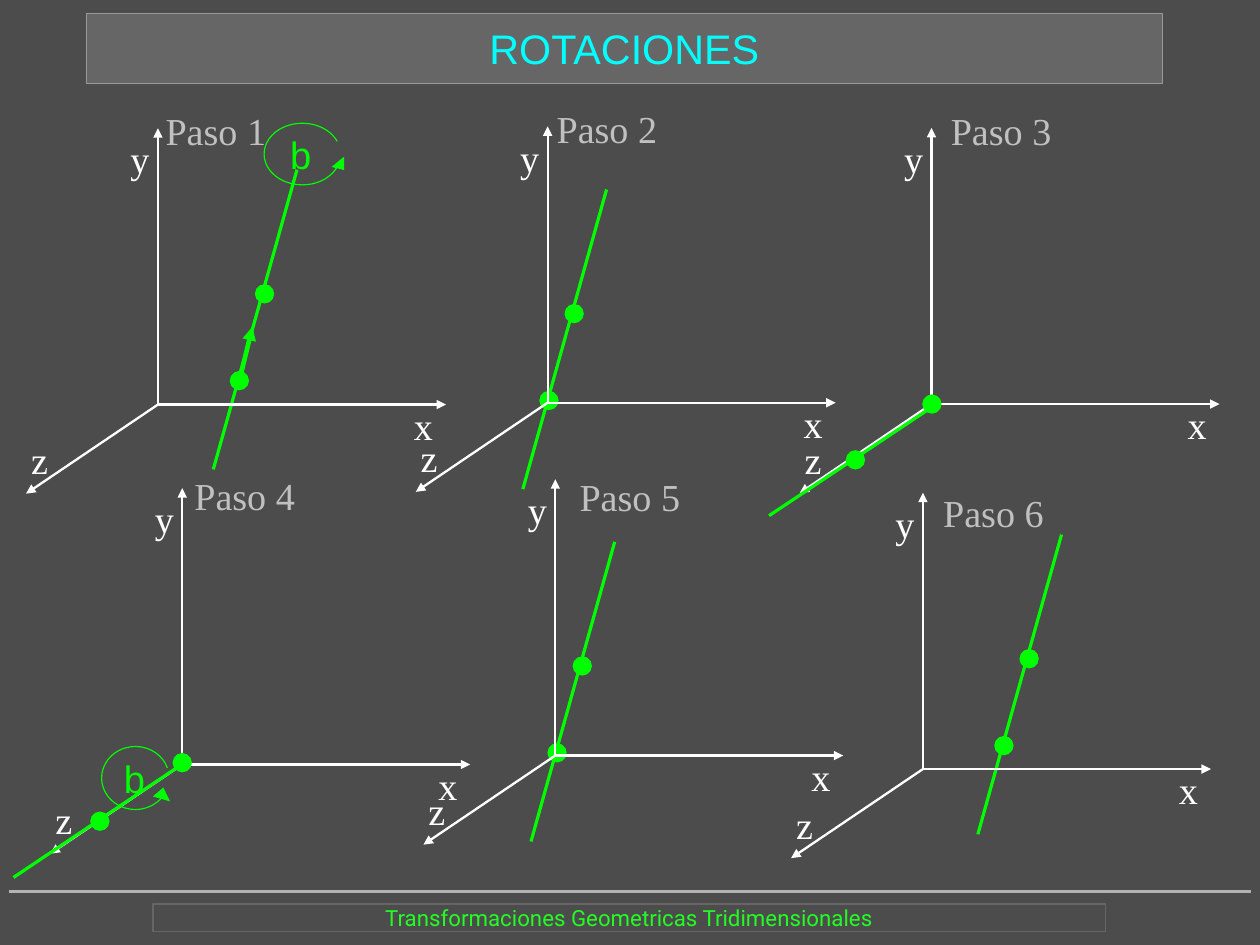
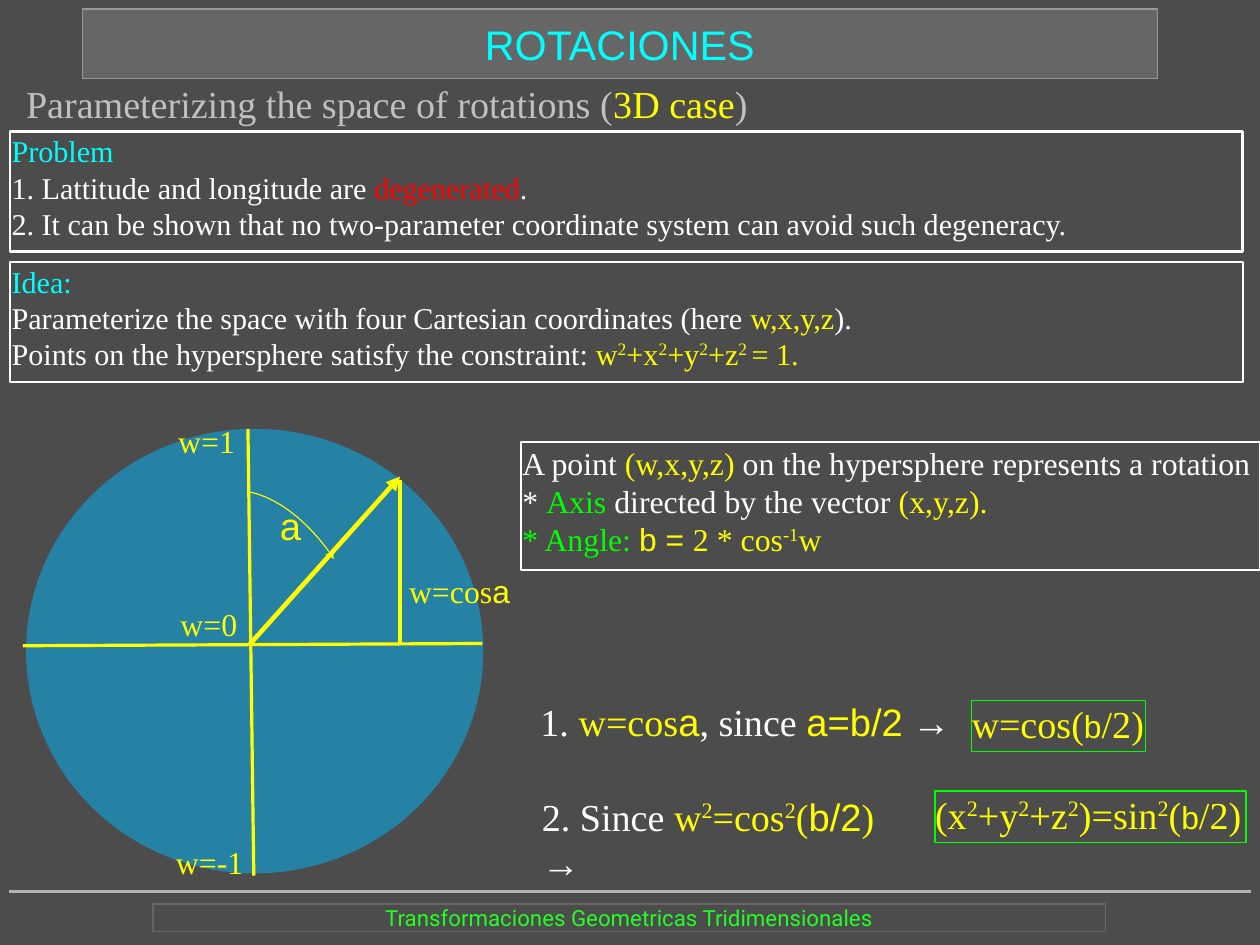
from dataclasses import dataclass

from lxml.etree import SubElement as Sub
from pptx import Presentation
from pptx.dml.color import RGBColor as Rgb
from pptx.enum.shapes import MSO_CONNECTOR as Link, MSO_SHAPE as Kind
from pptx.enum.text import MSO_ANCHOR as Anchor, PP_ALIGN as Align
from pptx.oxml.ns import qn
from pptx.util import Cm, Pt


@dataclass(frozen=True)
class Theme:
    """Colours, faces, type sizes and line widths."""
    back: str = "4C4C4C"
    band: str = "666666"
    rim: str = "999999"
    rule: str = "B3B3B3"
    foot: str = "23FF23"
    cyan: str = "00FFFF"
    grey: str = "C0C0C0"
    white: str = "FFFFFF"
    green: str = "00FF00"
    gold: str = "FFFF00"
    red: str = "FF0000"
    blue: str = "00B8FF"
    serif: str = "Times New Roman"
    sans: str = "Arial"
    thin: str = "Roboto"
    head: int = 26
    big: int = 24
    mid: int = 20
    text: int = 19
    small: int = 14
    hair: float = 0
    line: float = 1.45
    bold: float = 2.89


T = Theme()
DOT = 0.43

# Offsets from the first dot: second dot, both line ends
TILT = ((0.56, -1.93), (1.28, -4.69), (-0.58, 1.97))
FLAT = ((-1.7, 1.24), (0.04, 0.04), (-3.62, 2.48))
SPUN = ((-1.83, 1.3), (-0.09, 0.09), (-3.75, 2.55))

# Offsets from the origin: tip and label of each axis
AXES = {
    "x": ((6.4, 0), (5.69, -0.05)),
    "y": ((0, -6.14), (-0.61, -5.97)),
    "z": ((-2.93, 1.98), (-2.82, 0.71)),
}

# Origin, label place, first dot, offsets
STEPS = [
    ((3.51, 8.99), (3.68, 2.39), (5.32, 8.46), TILT),
    ((12.17, 8.95), (12.37, 2.34), (12.2, 8.9), TILT),
    ((20.7, 8.98), (21.13, 2.39), (20.71, 8.98), FLAT),
    ((4.05, 16.99), (4.32, 10.49), (4.05, 16.95), SPUN),
    ((12.34, 16.79), (12.88, 10.52), (12.38, 16.73), TILT),
    ((20.51, 17.09), (20.96, 10.87), (22.31, 16.57), TILT),
]


def move(spot, step):
    return spot[0] + step[0], spot[1] + step[1]


# Text: a line is a list of runs (text, colour, face, size); ^...^ is raised
def write(item, lines, size=T.big, align=Align.LEFT, anchor=Anchor.TOP, pad=0):
    frame = item.text_frame
    frame.word_wrap = True
    frame.vertical_anchor = anchor
    frame.margin_left = frame.margin_right = Cm(pad)
    frame.margin_top = frame.margin_bottom = Cm(pad)
    for num, runs in enumerate(lines):
        para = frame.add_paragraph() if num else frame.paragraphs[0]
        para.alignment = align
        for text, ink, *rest in runs:
            face, points = (rest + [None, None])[:2]
            for odd, part in enumerate(text.split("^")):
                if not part:
                    continue
                run = para.add_run()
                run.text = part
                run.font.name = face or T.serif
                run.font.size = Pt(points or size)
                run.font.color.rgb = Rgb.from_string(ink)
                if odd % 2:
                    run.font._element.set("baseline", "33000")


def note(slide, at, runs, size=T.big):
    write(slide.shapes.add_textbox(*map(Cm, at)), [runs], size)


# Shapes and lines
def paint(item, fill=None, edge=None, width=T.hair):
    item.shadow.inherit = False
    if fill:
        item.fill.solid()
        item.fill.fore_color.rgb = Rgb.from_string(fill)
    else:
        item.fill.background()
    if edge:
        item.line.color.rgb = Rgb.from_string(edge)
        item.line.width = Pt(width)
    else:
        item.line.fill.background()
    return item


def shape(slide, kind, at, fill=None, edge=None, width=T.hair):
    return paint(slide.shapes.add_shape(kind, *map(Cm, at)), fill, edge, width)


def panel(slide, at, lines, size, edge=T.white, width=T.line, pad=0.03):
    item = shape(slide, Kind.RECTANGLE, at, None, edge, width)
    write(item, lines, size, pad=pad)


def tip(item, kind="triangle"):
    Sub(item.line._get_or_add_ln(), qn("a:tailEnd"), type=kind)


def line(slide, start, end, ink, width=T.hair, head=False):
    item = slide.shapes.add_connector(Link.STRAIGHT, *map(Cm, start + end))
    item.line.color.rgb = Rgb.from_string(ink)
    item.line.width = Pt(width)
    if head:
        tip(item)
    Sub(item._element.spPr, qn("a:effectLst"))


def trace(slide, spots, close):
    first, *rest = [tuple(map(Cm, spot)) for spot in spots]
    pen = slide.shapes.build_freeform(*first, scale=1.0)
    pen.add_line_segments(rest, close=close)
    return pen.convert_to_shape()


def curve(spots, count=16):
    """Points along a cubic curve."""
    for num in range(count + 1):
        t = num / count
        parts = ((1 - t) ** 3, 3 * t * (1 - t) ** 2, 3 * t * t * (1 - t), t ** 3)
        yield tuple(sum(k * spot[i] for k, spot in zip(parts, spots)) for i in (0, 1))


# Parts of the step drawings
def axes(slide, base):
    for name, (end, place) in AXES.items():
        line(slide, base, move(base, end), T.white, T.line, True)
        note(slide, move(base, place) + (0.53, 1.02), [(name, T.white)])


def dot(slide, spot):
    shape(slide, Kind.OVAL, move(spot, (-DOT / 2, -DOT / 2)) + (DOT, DOT), T.green)


def pole(slide, spot, shifts):
    mate, start, end = (move(spot, shift) for shift in shifts)
    line(slide, start, end, T.green)
    dot(slide, spot)
    dot(slide, mate)


def turn(slide, at, sweep, head):
    arc = shape(slide, Kind.ARC, at, None, T.green)
    for num, angle in enumerate(sweep):
        arc.adjustments[num] = angle
    write(arc, [[("b", T.green, T.sans)]], align=Align.CENTER, anchor=Anchor.MIDDLE)
    paint(trace(slide, head, True), T.green)


# What both slides share
def page(deck, left, top):
    slide = deck.slides.add_slide(deck.slide_layouts[6])
    line(slide, (0.2, 19.81), (27.79, 19.81), T.rule)
    foot = shape(slide, Kind.RECTANGLE, (3.4, 20.09, 21.16, 0.61), None, T.band)
    write(foot, [[("Transformaciones Geometricas Tridimensionales", T.foot, T.thin)]],
          T.small, Align.CENTER, Anchor.MIDDLE)
    title = shape(slide, Kind.RECTANGLE, (left, top, 23.9, 1.55), T.band, T.rim)
    write(title, [[("ROTACIONES", T.cyan, T.sans)]], T.head, Align.CENTER, Anchor.MIDDLE)
    return slide


def steps(deck):
    slide = page(deck, 1.93, 0.3)
    for num, (base, place, spot, shifts) in enumerate(STEPS, 1):
        note(slide, place + (2.39, 1.02), [(f"Paso {num}", T.grey)])
        # A tilted pole lies behind the axes, the others in front
        if shifts is TILT:
            pole(slide, spot, shifts)
            axes(slide, base)
        else:
            axes(slide, base)
            pole(slide, spot, shifts)
    # Unit vector and turns by b
    first = STEPS[0][2]
    line(slide, first, move(first, (0.29, -1.2)), T.green, T.bold, True)
    turn(slide, (5.87, 2.74, 1.7, 1.37), (13.084, 203.954),
         [(7.37, 3.71), (7.65, 3.78), (7.65, 3.48)])
    turn(slide, (2.26, 16.59, 1.5, 1.4), (21.073, 205.591),
         [(3.4, 17.7), (3.78, 17.81), (3.63, 17.5)])


def sphere(slide):
    ball = shape(slide, Kind.OVAL, (0.58, 9.53, 10.16, 9.88), T.blue)
    tone = ball.fill._xPr.find(qn("a:solidFill"))[0]
    Sub(tone, qn("a:alpha"), val="50000")
    # Cross lines, vector and its drop line
    hub = (5.54, 14.33)
    line(slide, (5.51, 9.53), (5.64, 19.46), T.gold)
    line(slide, (10.72, 14.3), (0.51, 14.35), T.gold)
    line(slide, hub, (8.89, 10.59), T.gold, T.bold, True)
    line(slide, (8.89, 10.67), (8.89, 14.33), T.gold)
    # Angle a
    bend = [(5.49, 10.92), (6.63, 11.13), (7.42, 12.42), (7.42, 12.42)]
    angle = paint(trace(slide, curve(bend), False), None, T.gold, 0.71)
    tip(angle, "stealth")
    write(angle, [[("a", T.gold, T.sans)]], align=Align.CENTER, anchor=Anchor.MIDDLE)
    # Values of w
    for text, left, top in (("w=-1", 3.91, 18.72), ("w=0", 4.01, 13.44), ("w=1", 3.96, 9.37)):
        note(slide, (left, top, 1.55, 0.84), [(text, T.gold)], T.mid)
    note(slide, (9.09, 12.7, 2.31, 0.91),
         [("w=cos", T.gold), ("a", T.gold, T.sans)], T.mid)


def space(deck):
    slide = page(deck, 1.83, 0.2)
    note(slide, (0.58, 1.78, 16.87, 1.02),
         [("Parameterizing the space of rotations (", T.grey),
          ("3D case", T.gold), (")", T.grey)])
    # Framed statements
    panel(slide, (0.23, 2.92, 27.38, 2.67), [
        [("Problem", T.cyan)],
        [("1. Lattitude and longitude are ", T.white), ("degenerated", T.red), (".", T.white)],
        [("2. It can be shown that no two-parameter coordinate system "
          "can avoid such degeneracy.", T.white)],
    ], T.text)
    panel(slide, (0.23, 5.82, 27.4, 2.67), [
        [("Idea:", T.cyan)],
        [("Parameterize the space with four Cartesian coordinates (here ", T.white),
         ("w,x,y,z", T.gold), (").", T.white)],
        [("Points on the hypersphere satisfy the constraint: ", T.white),
         ("w^2^+x^2^+y^2^+z^2 ^= 1.", T.gold)],
    ], T.text)
    panel(slide, (11.58, 9.83, 16.43, 2.84), [
        [("A point ", T.white), ("(w,x,y,z)", T.gold),
         (" on the hypersphere represents a rotation", T.white)],
        [("* ", T.white), ("Axis", T.green), (" directed by the vector ", T.white),
         ("(x,y,z).", T.gold)],
        [("* Angle: ", T.green), ("b = ", T.gold, T.sans), ("2 * cos^-1^w", T.gold)],
    ], T.mid)
    # Derivation and its framed results
    note(slide, (12.01, 15.52, 9.32, 1.09),
         [("1. ", T.white), ("w=cos", T.gold), ("a", T.gold, T.sans), (", since ", T.white),
          ("a=b/2", T.gold, T.sans), (" →", T.white)])
    note(slide, (12.04, 17.63, 8.38, 1.09),
         [("2. Since ", T.white), ("w^2^=cos^2^(", T.gold), ("b/2", T.gold, T.sans),
          (")", T.gold), (" →", T.white)])
    for at, text in (((21.59, 15.57, 3.86, 1.14), "w=cos("),
                     ((20.78, 17.58, 6.91, 1.14), "(x^2^+y^2^+z^2^)=sin^2^(")):
        runs = [(text, T.gold), ("b", T.gold, T.sans, T.mid), ("/2)", T.gold)]
        panel(slide, at, [runs], T.big, T.green, T.hair, 0)
    sphere(slide)


def main():
    deck = Presentation()
    deck.slide_width, deck.slide_height = Cm(28), Cm(21)
    fill = deck.slide_master.background.fill
    fill.solid()
    fill.fore_color.rgb = Rgb.from_string(T.back)
    steps(deck)
    space(deck)
    deck.save("out.pptx")


if __name__ == "__main__":
    main()
